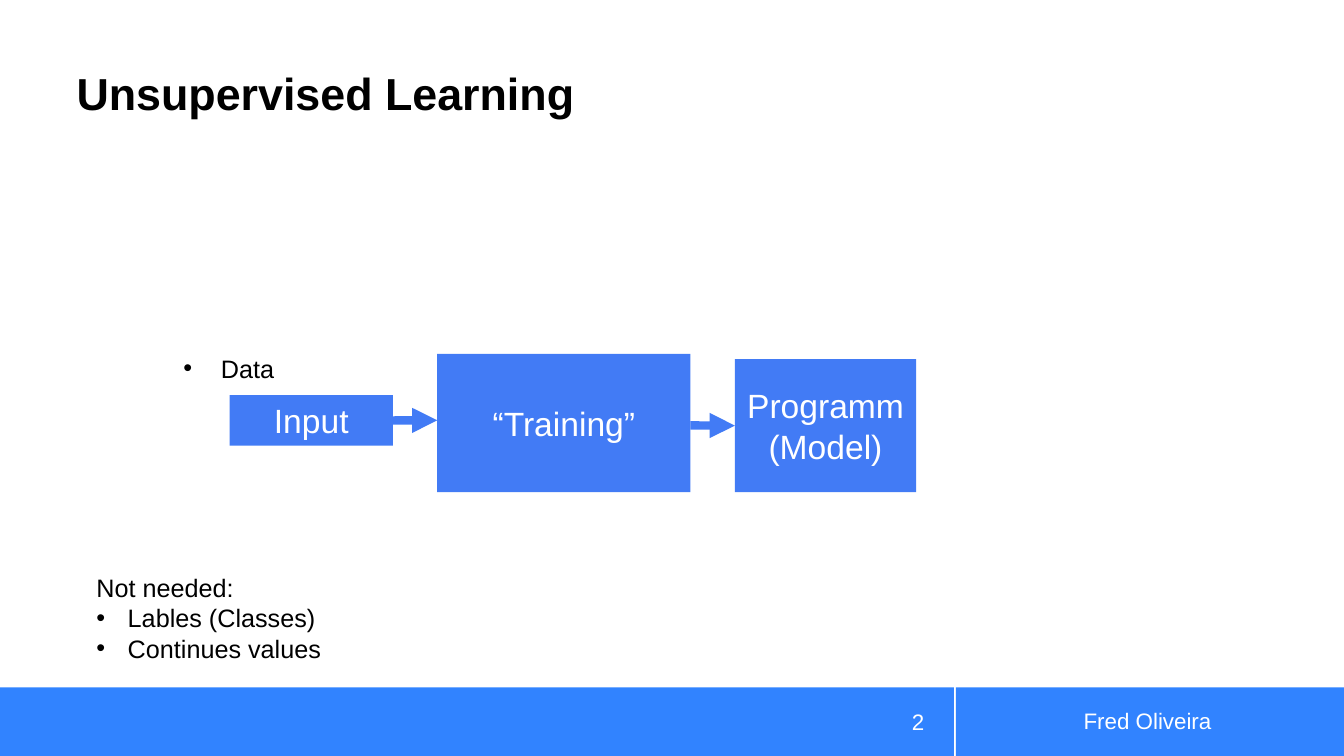
from lxml import etree
from pptx import Presentation
from pptx.dml.color import RGBColor
from pptx.enum.shapes import MSO_CONNECTOR, MSO_SHAPE
from pptx.enum.text import MSO_ANCHOR, PP_ALIGN
from pptx.oxml.ns import qn
from pptx.util import Cm, Pt

RECT, LINE = MSO_SHAPE.RECTANGLE, MSO_CONNECTOR.STRAIGHT
TOP, MID, LOW = MSO_ANCHOR.TOP, MSO_ANCHOR.MIDDLE, MSO_ANCHOR.BOTTOM
LEFT, MIDST, RIGHT = PP_ALIGN.LEFT, PP_ALIGN.CENTER, PP_ALIGN.RIGHT
COLORS = {"bar": "3183FF", "box": "427BF5", "ink": "000000", "white": "FFFFFF"}
FONT = "Arial"
WIDE, HIGH = 33.87, 19.05


def color(name):
    return RGBColor.from_string(COLORS[name])


def write(para, text, size, tint, bold=False):
    run = para.add_run()
    run.text = text
    run.font.name = FONT
    run.font.size = Pt(size)
    run.font.bold = bold
    run.font.color.rgb = color(tint)


def add_bullet(para, indent):
    props = para._p.get_or_add_pPr()
    props.set("marL", str(Cm(indent)))
    props.set("indent", str(-Cm(indent)))
    tint = etree.SubElement(props, qn("a:buClr"))
    etree.SubElement(tint, qn("a:srgbClr"), val=COLORS["ink"])
    etree.SubElement(props, qn("a:buFont"), typeface=FONT)
    etree.SubElement(props, qn("a:buChar"), char="•")


def add_label(slide, box, text, size, tint="ink", align=LEFT, anchor=TOP):
    frame = slide.shapes.add_textbox(*map(Cm, box)).text_frame
    frame.word_wrap = True
    frame.vertical_anchor = anchor
    para = frame.paragraphs[0]
    para.alignment = align
    write(para, text, size, tint)
    return frame


def add_block(slide, box, fill, text=""):
    block = slide.shapes.add_shape(RECT, *map(Cm, box))
    block.shadow.inherit = False
    block.fill.solid()
    block.fill.fore_color.rgb = color(fill)
    block.line.fill.background()
    if text:
        frame = block.text_frame
        frame.word_wrap = True
        frame.vertical_anchor = MID
        para = frame.paragraphs[0]
        para.alignment = MIDST
        write(para, text, 24, "white")
    return block


def add_arrow(slide, start, end, y):
    arrow = slide.shapes.add_connector(LINE, Cm(start), Cm(y), Cm(end), Cm(y))
    arrow.line.color.rgb = color("box")
    arrow.line.width = Pt(6)
    etree.SubElement(arrow.line._get_or_add_ln(), qn("a:tailEnd"), type="triangle")
    etree.SubElement(arrow._element.spPr, qn("a:effectLst"))
    return arrow


def add_title(slide, box):
    frame = add_label(slide, box, "Unsupervised Learning", 32, anchor=LOW)
    frame.margin_left = frame.margin_right = 0
    frame.margin_top = frame.margin_bottom = 0
    para = frame.paragraphs[0]
    para.line_spacing = 0.9
    para.runs[0].font.bold = True


def add_footer(slide, box):
    """Two bars with a thin gap, holding the page number and the author."""
    x, y, w, h = box
    split, gap = 24.04, 0.05
    add_block(slide, (x, y, split, h), "bar")
    add_block(slide, (x + split + gap, y, w - split - gap, h), "bar")
    add_label(slide, (x + 24.41, y + 0.33, 9.02, 1.02), "Fred Oliveira", 16,
              "white", MIDST, MID)
    add_label(slide, (x + 21.36, y + 0.36, 2.18, 1.02), "2", 16,
              "white", RIGHT, MID)


def add_flow(slide, box):
    """Input, training and model in a row; the arrows fill the gaps."""
    x, y, w, h = box
    input_w, train_w, model_w = 4.11, 6.38, 4.57
    gap = (w - input_w - train_w - model_w) / 2
    train_x = x + input_w + gap
    model_x = x + w - model_w
    data = add_block(slide, (x, y + 1.04, input_w, 1.27), "box", "Input")
    model = add_block(slide, (model_x, y + 0.13, model_w, h - 0.13), "box",
                      "Programm (Model)")
    first = add_arrow(slide, x + input_w, train_x, y + 1.67)
    first.begin_connect(data, 3)
    last = add_arrow(slide, train_x + train_w, model_x, y + 1.8)
    last.end_connect(model, 1)
    add_block(slide, (train_x, y, train_w, h), "box", "“Training”")
    note = add_label(slide, (x - 1.42, y - 0.15, 2.82, 1.02), "Data", 18)
    add_bullet(note.paragraphs[0], 0.95)


def add_needs(slide, box):
    frame = add_label(slide, box, "Not needed:", 18)
    for item in ("Lables (Classes)", "Continues values"):
        para = frame.add_paragraph()
        write(para, item, 18, "ink")
        add_bullet(para, 0.79)


def main():
    deck = Presentation()
    deck.slide_width, deck.slide_height = Cm(WIDE), Cm(HIGH)
    slide = deck.slides.add_slide(deck.slide_layouts[6])
    add_footer(slide, (0, 17.32, WIDE, HIGH - 17.32))
    add_title(slide, (1.93, 0.33, 22.1, 2.69))
    add_flow(slide, (5.79, 8.92, 17.3, 3.48))
    add_needs(slide, (2.18, 14.3, 6.22, 2.57))
    deck.save("out.pptx")


if __name__ == "__main__":
    main()
